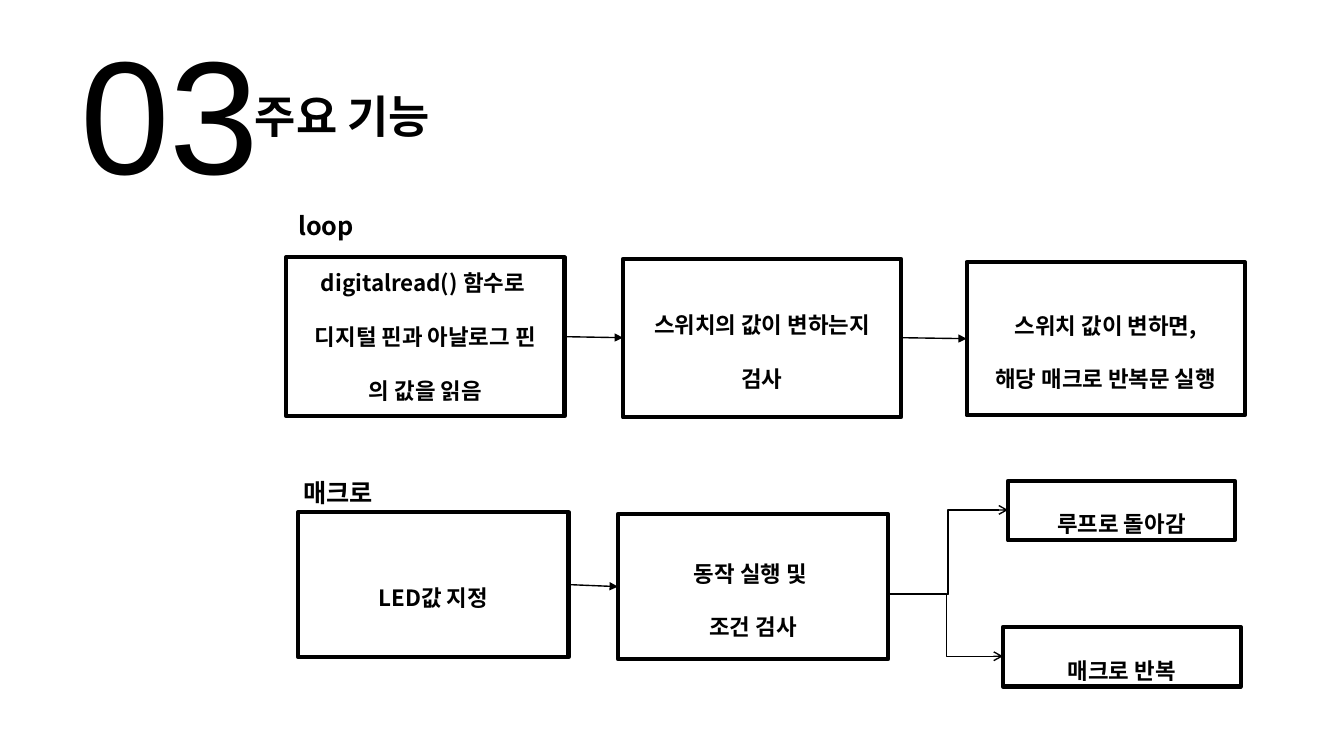
import pptx
import pptx.util
import pptx.dml.color
import pptx.enum.shapes
import pptx.enum.text
import pptx.oxml.ns
import lxml.etree

INK = {"text": "000000", "line": "000000"}
SANS, KOR = "Arial", "Noto Sans CJK KR"
CELL = 0.1  # grid cell in inches, both ways
KIND = pptx.enum.shapes.MSO_CONNECTOR
ANCHOR = pptx.enum.text.MSO_ANCHOR
ALIGN = pptx.enum.text.PP_ALIGN


def grid(*cells):
    return [pptx.util.Inches(n * CELL) for n in cells]


def color(name):
    return pptx.dml.color.RGBColor.from_string(INK[name])


def node(parent, tag, **attrs):
    return lxml.etree.SubElement(parent, pptx.oxml.ns.qn(tag), attrs)


class Board:
    def __init__(self, slide):
        self.slide = slide

    def words(self, para, text, size, font=KOR, bold=True):
        run = para.add_run()
        run.text = text
        run.font.size = pptx.util.Pt(size)
        run.font.name = font
        run.font.bold = bold
        run.font.color.rgb = color("text")
        node(run._r.get_or_add_rPr(), "a:ea", typeface=font)

    def label(self, at, text, size, font=KOR, bold=True, wrap=True):
        frame = self.slide.shapes.add_textbox(*grid(*at)).text_frame
        frame.word_wrap = wrap
        frame.auto_size = pptx.enum.text.MSO_AUTO_SIZE.SHAPE_TO_FIT_TEXT
        self.words(frame.paragraphs[0], text, size, font, bold)

    def box(self, at, lines, gap=None):
        """Framed step; gap sets space between lines in place of double spacing."""
        rect = pptx.enum.shapes.MSO_SHAPE.RECTANGLE
        shape = self.slide.shapes.add_shape(rect, *grid(*at))
        shape.shadow.inherit = False
        shape.fill.background()
        shape.line.color.rgb = color("line")
        shape.line.width = pptx.util.Pt(3)
        frame = shape.text_frame
        frame.word_wrap = True
        frame.vertical_anchor = ANCHOR.MIDDLE
        for i, text in enumerate(lines):
            para = frame.add_paragraph() if i else frame.paragraphs[0]
            para.alignment = ALIGN.CENTER
            if gap is None:
                para.line_spacing = 2.0
            elif i:
                para.space_before = pptx.util.Pt(gap)
            self.words(para, text, 16)

    def arrow(self, ends, kind=KIND.STRAIGHT, head="triangle"):
        link = self.slide.shapes.add_connector(kind, *grid(*ends))
        link.line.color.rgb = color("line")
        link.line.width = pptx.util.Pt(1)
        node(link._element.spPr.find(pptx.oxml.ns.qn("a:ln")),
             "a:tailEnd", type=head)
        node(link._element.spPr, "a:effectLst")


deck = pptx.Presentation()
deck.slide_width, deck.slide_height = grid(133.33, 75)
board = Board(deck.slides.add_slide(deck.slide_layouts[6]))

# Heading
board.label((7, 0.8, 20.4, 20.2), "03", 115, SANS, False, False)
board.label((24.3, 8.3, 70.5, 6.2), "주요 기능", 32)

# Section names
board.label((28.6, 20.4, 8.5, 4), "loop", 18)
board.label((29.1, 46.9, 22.2, 4), "매크로", 18)

# Loop steps
board.box((28.4, 25.5, 27.6, 15.8),
          ["digitalread() 함수로 ", "디지털 핀과 아날로그 핀", "의 값을 읽음"], 19.2)
board.box((61.8, 25.7, 27.6, 15.7), ["스위치의 값이 변하는지 검사"])
board.box((95.9, 26, 27.6, 15.2), ["스위치 값이 변하면,", "해당 매크로 반복문 실행"])

# Macro steps and outcomes
board.box((29.6, 50.8, 26.8, 14.4), ["LED값 지정"])
board.box((61.3, 51, 26.8, 14.4), ["동작 실행 및 ", "조건 검사"])
board.box((100, 47.7, 22.5, 5.9), ["루프로 돌아감"])
board.box((99.5, 62.2, 23.6, 5.9), ["매크로 반복"])

# Flow between steps
for ends in [(55.9, 33.4, 61.8, 33.5), (89.3, 33.5, 95.9, 33.6),
             (56.5, 58, 61.3, 58.2)]:
    board.arrow(ends)

# Branches to the outcomes
for ends in [(88.1, 59, 100, 50.6), (88.3, 58.9, 99.5, 65.1)]:
    board.arrow(ends, KIND.ELBOW, "arrow")

deck.save("out.pptx")
